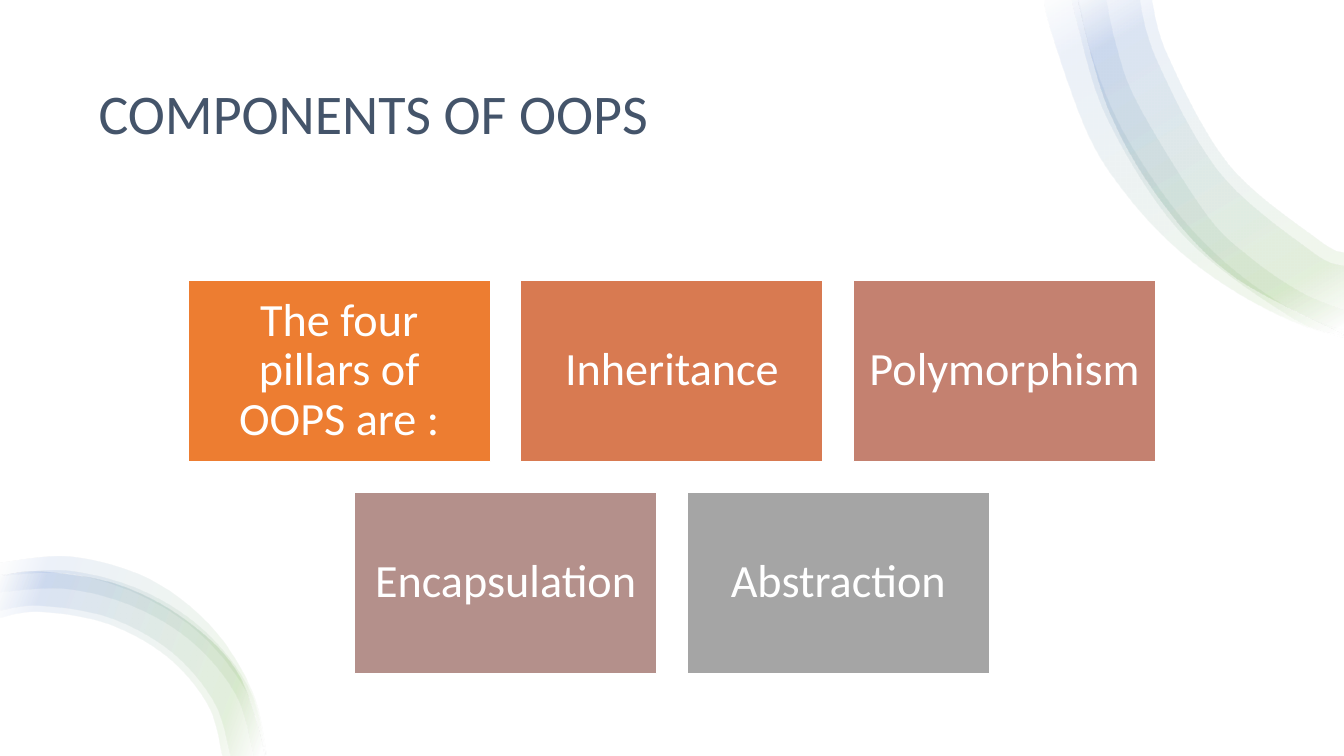
import lxml.etree
import pptx
import pptx.dml.color
import pptx.enum.shapes
import pptx.enum.text
import pptx.oxml
import pptx.oxml.ns
import pptx.util

Inches = pptx.util.Inches
qn = pptx.oxml.ns.qn
SLIDE_WIDTH, SLIDE_HEIGHT = 13.33, 7.5
FONT = "Calibri"

PILLARS = [
    [("The four pillars of OOPS are :", "ED7D31"), ("Inheritance", "D87A51"), ("Polymorphism", "C48170")],
    [("Encapsulation", "B4908B"), ("Abstraction", "A5A5A5")],
]
BOX_WIDTH, BOX_HEIGHT, GAP, FIRST_TOP = 3, 1.8, 0.3, 2.78

BAND_STOPS = [(2, "FFFFFF"), (16, "70AD47"), (85, "4472C4"), (100, "FFFFFF")]
BAND_OPACITY = 10

# Each band is a pair of edges: outer, then inner in the opposite direction.
TOP_OUTER = [(13.33, 3.32), (12.23, 2.74), (11.52, 2), (10.99, 1.07), (10.67, -0.09)]
TOP_BANDS = [
    ([(13.33, 3.35), (12.82, 3.19), (12.21, 2.87), (11.65, 2.45), (11.16, 1.92), (10.78, 1.31),
      (10.41, 0.26), (10.36, -0.09)],
     [(10.68, -0.09), (10.82, 0.52), (11.06, 1.15), (11.4, 1.73), (11.81, 2.27), (12.3, 2.73),
      (12.86, 3.1), (13.33, 3.28)]),
    (TOP_OUTER, [(11.41, -0.09), (11.58, 0.55), (12.19, 1.64), (13.07, 2.38), (13.33, 2.51)]),
    ([(13.33, 3.33), (12.79, 3.14), (11.73, 2.33), (10.99, 1.19), (10.68, 0.2), (10.63, -0.09)],
     [(10.96, -0.09), (11.07, 0.44), (11.29, 1.04), (11.95, 2.11), (12.39, 2.55), (12.9, 2.9), (13.33, 3.08)]),
    (TOP_OUTER, [(11.29, -0.09), (11.47, 0.59), (12.1, 1.72), (13.01, 2.5), (13.33, 2.64)]),
]
BOTTOM_OUTER = [(2.63, 7.5), (2.36, 6.69), (1.85, 6.16), (1.17, 5.8), (0.4, 5.67), (0, 5.72)]
BOTTOM_BANDS = [
    (BOTTOM_OUTER, [(0, 6.13), (0.4, 6.07), (1.07, 6.19), (1.66, 6.52), (2.06, 7), (2.2, 7.5)]),
    (BOTTOM_OUTER, [(0, 6.06), (0.4, 6.01), (1.09, 6.13), (1.7, 6.47), (2.12, 6.97), (2.28, 7.5)]),
    ([(2.63, 7.5), (2.47, 6.85), (2.03, 6.27), (1.42, 5.87), (0.69, 5.67), (0, 5.71)],
     [(0, 5.88), (0.67, 5.85), (1.34, 6.03), (1.92, 6.39), (2.34, 6.91), (2.51, 7.5)]),
    ([(2.64, 7.5), (2.5, 6.87), (2.1, 6.23), (1.48, 5.75), (0.71, 5.53), (0, 5.59)],
     [(0, 5.72), (0.69, 5.7), (1.39, 5.91), (2, 6.31), (2.45, 6.89), (2.62, 7.5)]),
]


def color(hex_string):
    return pptx.dml.color.RGBColor.from_string(hex_string)


def edge_handles(points):
    """Return the two Bezier handles of every span of a Catmull-Rom curve."""
    padded = [points[0], *points, points[-1]]
    return [
        [tuple(q + (r - p) / 6 for p, q, r in zip(a, b, c)),
         tuple(q - (r - p) / 6 for p, q, r in zip(b, c, d))]
        for a, b, c, d in zip(padded, padded[1:], padded[2:], padded[3:])]


def bend_outline(band, handles):
    """Turn straight spans into Bezier curves; a span without handles stays straight."""
    for line, pair in zip(list(band._element.iter(qn("a:lnTo"))), handles):
        if pair is None:
            continue
        curve = lxml.etree.Element(qn("a:cubicBezTo"))
        for x, y in pair:
            lxml.etree.SubElement(curve, qn("a:pt"), x=str(Inches(x) - band.left), y=str(Inches(y) - band.top))
        curve.append(line[0])
        line.getparent().replace(line, curve)


def set_gradient(shape, angle):
    """Fill with the translucent band gradient; angle is clockwise in degrees."""
    shape.fill.background()
    fill = pptx.oxml.parse_xml(f'<a:gradFill {pptx.oxml.ns.nsdecls("a")} rotWithShape="1"><a:gsLst/></a:gradFill>')
    for position, hex_string in BAND_STOPS:
        stop = lxml.etree.SubElement(fill[0], qn("a:gs"), pos=str(position * 1000))
        tint = lxml.etree.SubElement(stop, qn("a:srgbClr"), val=hex_string)
        lxml.etree.SubElement(tint, qn("a:alpha"), val=str(BAND_OPACITY * 1000))
    lxml.etree.SubElement(fill, qn("a:lin"), ang=str(angle * 60000), scaled="0")
    properties = shape._element.spPr
    properties.replace(properties.find(qn("a:noFill")), fill)


def add_band(page, outer, inner, angle):
    start, *rest = [(Inches(x), Inches(y)) for x, y in outer + inner]
    builder = page.shapes.build_freeform(*start)
    builder.add_line_segments(rest, close=True)
    band = builder.convert_to_shape()
    bend_outline(band, edge_handles(outer) + [None] + edge_handles(inner))
    band.shadow.inherit = False
    band.line.fill.background()
    set_gradient(band, angle)


def write_text(box, text, size, hex_string, align, inset):
    frame = box.text_frame
    frame.word_wrap = True
    frame.vertical_anchor = pptx.enum.text.MSO_ANCHOR.MIDDLE
    frame.margin_left = frame.margin_right = frame.margin_top = frame.margin_bottom = Inches(inset)
    para = frame.paragraphs[0]
    para.alignment = align
    para.line_spacing = 0.9
    span = para.add_run()
    span.text = text
    span.font.name = FONT
    span.font.size = pptx.util.Pt(size)
    span.font.color.rgb = color(hex_string)


def add_title(page, text):
    box = page.shapes.add_textbox(Inches(0.88), Inches(0.5), Inches(11.57), Inches(1.3))
    write_text(box, text, size=40, hex_string="44546A", align=pptx.enum.text.PP_ALIGN.LEFT, inset=0.1)


def add_rectangle(page, left, top, width, height, hex_string):
    box = page.shapes.add_shape(pptx.enum.shapes.MSO_SHAPE.RECTANGLE, Inches(left), Inches(top),
                                Inches(width), Inches(height))
    box.shadow.inherit = False
    box.fill.solid()
    box.fill.fore_color.rgb = color(hex_string)
    box.line.fill.background()
    return box


def add_pillar(page, left, top, text, hex_string):
    box = add_rectangle(page, left, top, BOX_WIDTH, BOX_HEIGHT, hex_string)
    box.line.color.rgb = color("FFFFFF")
    box.line.width = pptx.util.Pt(1)
    write_text(box, text, size=33, hex_string="FFFFFF", align=pptx.enum.text.PP_ALIGN.CENTER, inset=0.14)


def add_pillar_rows(page):
    """Place the boxes in rows, each centred on the slide."""
    for row, pillars in enumerate(PILLARS):
        row_width = len(pillars) * (BOX_WIDTH + GAP) - GAP
        for column, (text, hex_string) in enumerate(pillars):
            left = (SLIDE_WIDTH - row_width) / 2 + column * (BOX_WIDTH + GAP)
            add_pillar(page, left, FIRST_TOP + row * (BOX_HEIGHT + GAP), text, hex_string)


def main():
    deck = pptx.Presentation()
    deck.slide_width, deck.slide_height = Inches(SLIDE_WIDTH), Inches(SLIDE_HEIGHT)
    page = deck.slides.add_slide(deck.slide_layouts[6])
    add_rectangle(page, 0, 0, SLIDE_WIDTH, SLIDE_HEIGHT, "FFFFFF")
    add_title(page, "COMPONENTS OF OOPS")
    for bands, angle in ((TOP_BANDS, 240), (BOTTOM_BANDS, 200)):
        for outer, inner in bands:
            add_band(page, outer, inner, angle)
    add_pillar_rows(page)
    deck.save("out.pptx")


if __name__ == "__main__":
    main()
